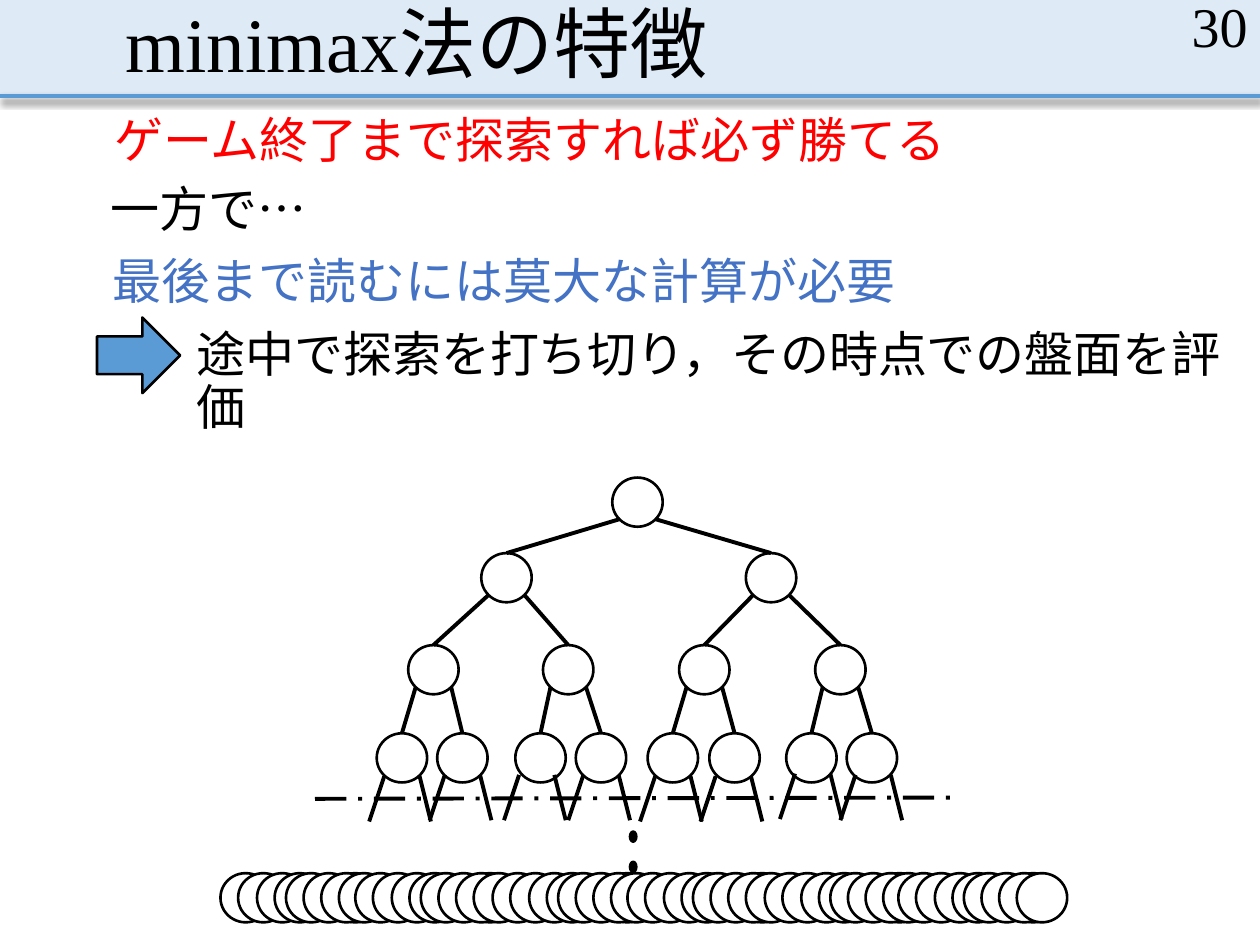
from lxml import etree
from pptx import Presentation
from pptx.dml.color import RGBColor
from pptx.enum import dml, shapes, text
from pptx.oxml.ns import qn
from pptx.util import Inches, Pt

FONT = "Times New Roman"
BLACK, WHITE, BLUE = "000000", "FFFFFF", "5B9BD5"

# text, (left, top, width, height), colour
STATEMENTS = [
    ("ゲーム終了まで探索すれば必ず勝てる", (0.91, 0.87, 6.64, 0.58), "FF0000"),
    ("一方で…", (0.88, 1.42, 6.26, 0.53), BLACK),
    ("最後まで読むには莫大な計算が必要", (0.89, 1.99, 6.26, 0.53), "4472C4"),
    ("途中で探索を打ち切り，その時点での盤面を評価", (1.56, 2.57, 8.44, 0.55), BLACK),
]

NODE_WIDTH, NODE_HEIGHT = 0.4, 0.39
# Each level: top of the nodes, then their centres; node i has children 2i and 2i + 1
LEVELS = [
    (3.79, [5.06]),
    (4.39, [4.02, 6.12]),
    (5.12, [3.44, 4.51, 5.59, 6.67]),
    (5.82, [3.19, 3.67, 4.29, 4.77, 5.34, 5.83, 6.44, 6.92]),
]
EDGE_SIDE, EDGE_DROP = 0.14, 0.33  # where an edge leaves its parent

# Centre and top of each pair of open branches below the last level
OPEN_BRANCHES = [
    (3.19, 6.16), (3.67, 6.15), (4.26, 6.15), (4.77, 6.15),
    (5.34, 6.16), (5.82, 6.16), (6.45, 6.14), (6.93, 6.15),
]
BRANCH_HEIGHT = 0.36

DOT_TOPS = [6.6, 6.84, 7.07]

# The final row repeats one cluster of overlapping nodes, listed from back to front
ROW_TOP = 6.93
CLUSTER_LEFTS = [1.75, 2.82, 3.91, 4.98, 6.07, 7.13]
CLUSTER_OFFSETS = [0, 0.14, 0.87, 0.29, 0.43, 0.52, 0.66, 0.8, 0.94]


def color(hex_string):
    return RGBColor.from_string(hex_string)


def add_shape(parent, kind, box, fill, line=BLACK):
    shape = parent.shapes.add_shape(kind, *map(Inches, box))
    shape.shadow.inherit = False
    shape.fill.solid()
    shape.fill.fore_color.rgb = color(fill)
    if line:
        shape.line.color.rgb = color(line)
        shape.line.width = Pt(1.5)
    else:
        shape.line.fill.background()
    return shape


def add_node(parent, left, top):
    add_shape(parent, shapes.MSO_SHAPE.OVAL, (left, top, NODE_WIDTH, NODE_HEIGHT), WHITE)


def add_line(parent, start, end, line=BLACK, dash=None):
    """Add a straight line and return it with its emptied effect list."""
    connector = parent.shapes.add_connector(
        shapes.MSO_CONNECTOR.STRAIGHT, *map(Inches, (*start, *end)))
    connector.line.color.rgb = color(line)
    connector.line.width = Pt(2.25)
    if dash:
        connector.line.dash_style = dash
    effects = etree.SubElement(connector._element.spPr, qn("a:effectLst"))
    return connector, effects


def add_text(slide, content, box, size=28, fill=BLACK, side_inset=0.1, spacing=0.9,
             anchor=text.MSO_ANCHOR.TOP, align=text.PP_ALIGN.LEFT):
    frame = slide.shapes.add_textbox(*map(Inches, box)).text_frame
    frame.word_wrap = True
    frame.vertical_anchor = anchor
    frame.margin_left = frame.margin_right = Inches(side_inset)
    frame.margin_top = frame.margin_bottom = Inches(0.05)
    paragraph = frame.paragraphs[0]
    paragraph.alignment = align
    paragraph.line_spacing = spacing
    run = paragraph.add_run()
    run.text = content
    run.font.name = FONT
    run.font.size = Pt(size)
    run.font.color.rgb = color(fill)


def add_header(slide):
    add_shape(slide, shapes.MSO_SHAPE.RECTANGLE, (0, 0, 10, 0.76), "DEEBF7", line=None)
    _, effects = add_line(slide, (0, 0.76), (10, 0.76), BLUE)
    shadow = etree.SubElement(effects, qn("a:outerShdw"), blurRad=str(Pt(4)),
                              dist=str(Pt(2.5)), dir="5400000", rotWithShape="0")
    shade = etree.SubElement(shadow, qn("a:srgbClr"), val=BLACK)
    etree.SubElement(shade, qn("a:alpha"), val="47000")
    add_text(slide, "minimax法の特徴", (0.9, 0, 8.25, 0.76), size=44,
             anchor=text.MSO_ANCHOR.BOTTOM)
    add_text(slide, "30", (7.75, 0, 2.25, 0.4), size=32, spacing=1.0,
             anchor=text.MSO_ANCHOR.MIDDLE, align=text.PP_ALIGN.RIGHT)


def add_tree(slide):
    tree = slide.shapes.add_group_shape()
    for top, centres in LEVELS:
        for centre in centres:
            add_node(tree, centre - NODE_WIDTH / 2, top)
    for (parent_top, parents), (child_top, children) in zip(LEVELS, LEVELS[1:]):
        for index, child in enumerate(children):
            side = EDGE_SIDE if index % 2 else -EDGE_SIDE
            add_line(tree, (parents[index // 2] + side, parent_top + EDGE_DROP),
                     (child, child_top))
    for centre, top in OPEN_BRANCHES:
        for upper, lower in ((-0.14, -0.26), (0.14, 0.23)):
            add_line(tree, (centre + upper, top), (centre + lower, top + BRANCH_HEIGHT))
    for top in DOT_TOPS:
        add_shape(tree, shapes.MSO_SHAPE.OVAL, (5, top, 0.05, 0.08), BLACK)


def add_final_row(slide):
    row = slide.shapes.add_group_shape()
    for left in CLUSTER_LEFTS:
        for offset in CLUSTER_OFFSETS:
            add_node(row, left + offset, ROW_TOP)


def main():
    presentation = Presentation()
    presentation.slide_width, presentation.slide_height = Inches(10), Inches(7.5)
    slide = presentation.slides.add_slide(presentation.slide_layouts[6])
    add_header(slide)
    for content, box, fill in STATEMENTS:
        add_text(slide, content, box, fill=fill, side_inset=0)
    add_shape(slide, shapes.MSO_SHAPE.RIGHT_ARROW, (0.77, 2.52, 0.66, 0.6), BLUE)
    add_line(slide, (2.5, 6.34), (7.55, 6.33), dash=dml.MSO_LINE.LONG_DASH_DOT)
    add_tree(slide)
    add_final_row(slide)
    presentation.save("out.pptx")


if __name__ == "__main__":
    main()
